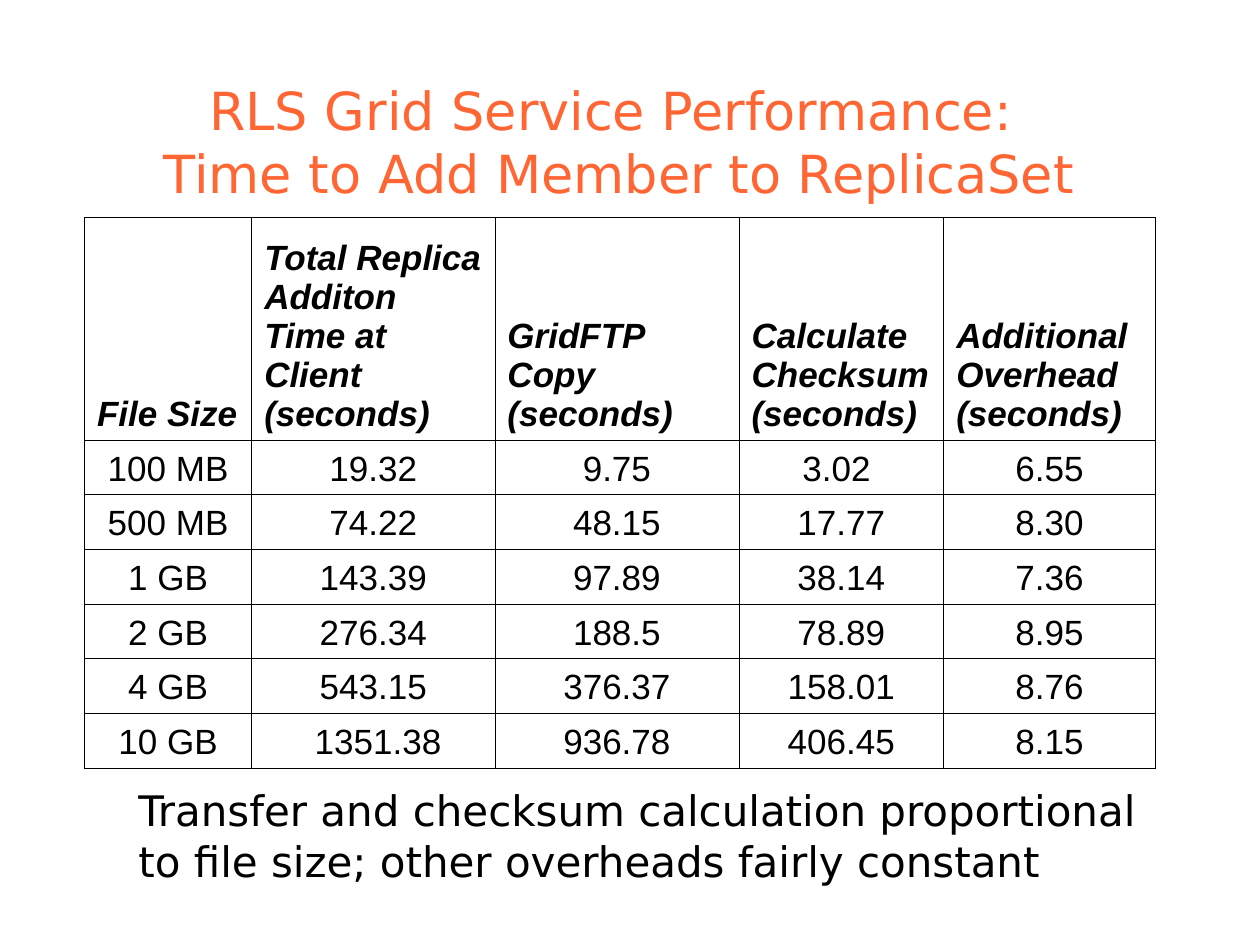
from lxml.etree import SubElement
from pptx import Presentation
from pptx.dml.color import RGBColor
from pptx.enum.text import MSO_ANCHOR as Anchor, PP_ALIGN as Align
from pptx.oxml.ns import qn
from pptx.util import Pt

ORANGE = RGBColor(0xFF, 0x66, 0x33)
BLACK = RGBColor(0, 0, 0)
SANS = "DejaVu Sans"

TITLE = "RLS Grid Service Performance: \vTime to Add Member to ReplicaSet"
NOTE = ("Transfer and checksum calculation proportional to file size; "
        "other overheads fairly constant")
HEADS = [
    "File Size",
    "Total Replica\nAdditon\nTime at\nClient\n(seconds)",
    "GridFTP\nCopy\n(seconds)",
    "Calculate\nChecksum\n(seconds)",
    "Additional\nOverhead\n(seconds)",
]
TIMES = [
    ["100 MB", "19.32", "9.75", "3.02 ", "6.55"],
    ["500 MB", "74.22", "48.15", "17.77", "8.30"],
    ["1 GB", "143.39", "97.89", "38.14", "7.36"],
    ["2 GB", "276.34", "188.5", "78.89", "8.95"],
    ["4 GB", "543.15", "376.37", "158.01", "8.76"],
    ["10 GB", " 1351.38", "936.78", "406.45", "8.15"],
]
WIDTHS = [95.5, 139, 139.5, 117, 121]
HEAD_H, ROW_H = 127, 31.1


def style(frame, name, size, color, align, bold=False):
    """Give every paragraph one font; bold text is italic too."""
    for para in frame.paragraphs:
        para.alignment = align
        font = para.font
        font.name, font.size = name, Pt(size)
        font.bold = font.italic = bold
        font.color.rgb = color


def add_text(slide, box, text, size, color, align, anchor):
    frame = slide.shapes.add_textbox(*map(Pt, box)).text_frame
    frame.word_wrap = True
    frame.vertical_anchor = anchor
    frame.text = text
    style(frame, SANS, size, color, align)


def add_border(cell):
    props = cell._tc.get_or_add_tcPr()
    for side in ("lnL", "lnR", "lnT", "lnB"):
        line = SubElement(props, qn(f"a:{side}"), w=str(Pt(0.45)))
        fill = SubElement(line, qn("a:solidFill"))
        SubElement(fill, qn("a:srgbClr"), val=str(BLACK))


def add_times(slide, box):
    rows = [HEADS, *TIMES]
    table = slide.shapes.add_table(len(rows), len(HEADS), *map(Pt, box)).table
    table.first_row = table.horz_banding = False
    for col, width in zip(table.columns, WIDTHS):
        col.width = Pt(width)
    for r, row in enumerate(rows):
        head = r == 0
        table.rows[r].height = Pt(HEAD_H if head else ROW_H)
        for c, text in enumerate(row):
            cell = table.cell(r, c)
            cell.text = text
            cell.vertical_anchor = Anchor.BOTTOM
            style(cell.text_frame, "Arial", 20, BLACK,
                  Align.LEFT if head else Align.CENTER, bold=head)
            add_border(cell)
            cell.fill.background()


def main():
    deck = Presentation()
    deck.slide_width, deck.slide_height = Pt(720), Pt(540)
    slide = deck.slides.add_slide(deck.slide_layouts[6])
    add_text(slide, (48, 60, 612, 60), TITLE, 30, ORANGE,
             Align.CENTER, Anchor.BOTTOM)
    add_times(slide, (48.3, 124.2, sum(WIDTHS), HEAD_H + ROW_H * len(TIMES)))
    add_text(slide, (72, 445, 594, 65), NOTE, 24, BLACK,
             Align.LEFT, Anchor.TOP)
    deck.save("out.pptx")


if __name__ == "__main__":
    main()
